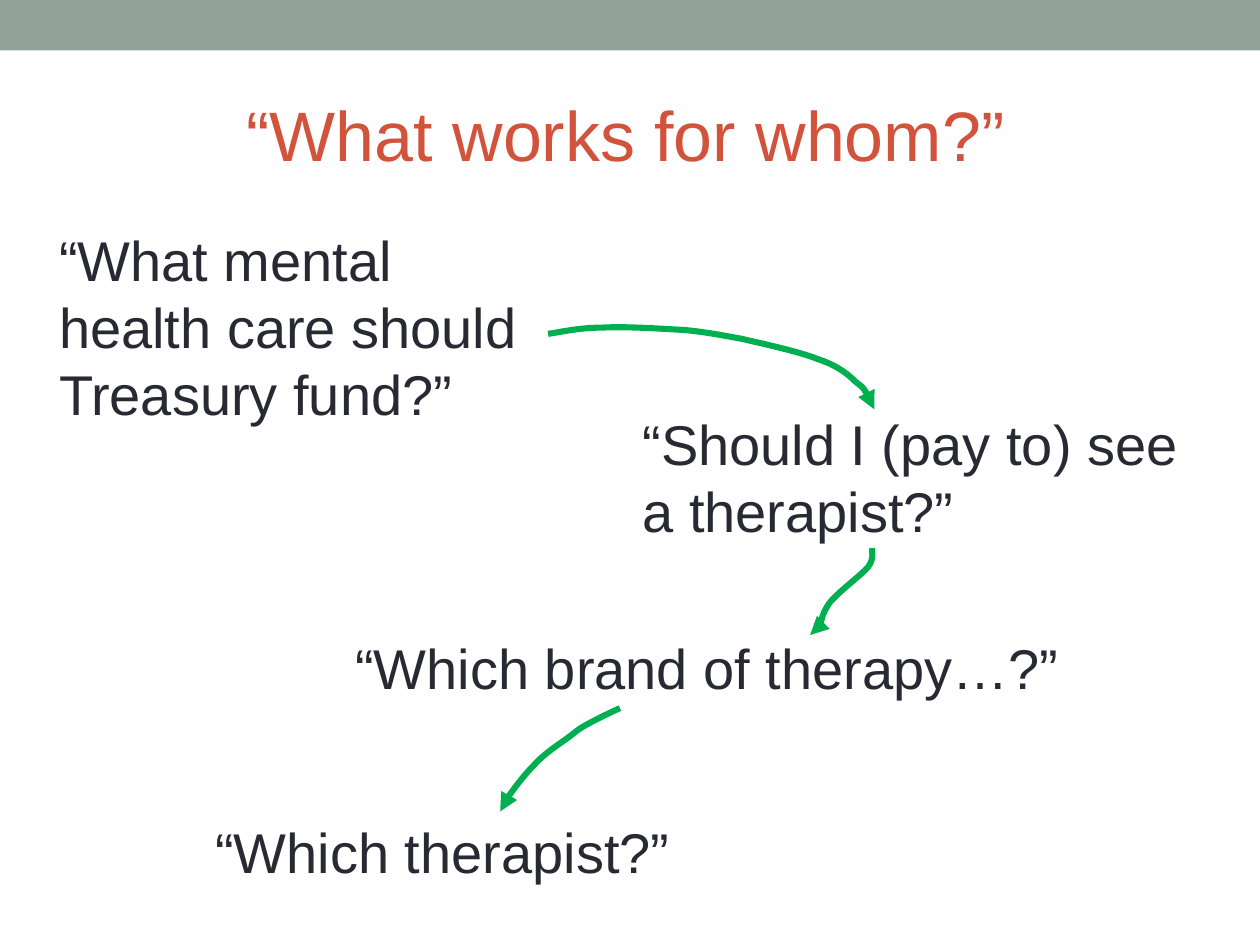
from dataclasses import dataclass

from lxml.etree import SubElement
from pptx import Presentation
from pptx.dml.color import RGBColor
from pptx.enum.shapes import MSO_SHAPE as Preset
from pptx.enum.text import MSO_AUTO_SIZE as AutoSize
from pptx.oxml.ns import qn
from pptx.slide import Slide
from pptx.util import Inches, Pt

Point = tuple[float, float]


@dataclass(frozen=True)
class Theme:
    font: str = "Arial"
    title_size: int = 40
    question_size: int = 32
    arrow_width: float = 3.5
    band: RGBColor = RGBColor(0x93, 0xA2, 0x99)
    title: RGBColor = RGBColor(0xD2, 0x53, 0x3C)
    question: RGBColor = RGBColor(0x29, 0x29, 0x34)
    arrow: RGBColor = RGBColor(0x00, 0xB0, 0x50)


@dataclass(frozen=True)
class Label:
    text: str
    left: float
    top: float
    width: float
    height: float


THEME = Theme()

TITLE = Label("“What works for whom?”", 1.86, 0.68, 6.29, 0.77)
QUESTIONS = [
    Label("“What mental health care should Treasury fund?”", 0.37, 1.74, 3.91, 1.72),
    Label("“Should I (pay to) see a therapist?”", 5, 3.2, 4.65, 1.18),
    Label("“Which brand of therapy…?”", 2.72, 4.98, 6.39, 0.64),
    Label("“Which therapist?”", 1.61, 6.44, 5.86, 0.64),
]

# Each arrow is a start point followed by (control, control, end) triples.
ARROWS: list[list[Point]] = [
    [
        (4.35, 2.65),
        (4.48, 2.63), (4.61, 2.6), (4.79, 2.6),
        (4.97, 2.59), (5.26, 2.61), (5.44, 2.62),
        (5.63, 2.64), (5.72, 2.66), (5.89, 2.69),
        (6.06, 2.73), (6.34, 2.79), (6.49, 2.85),
        (6.64, 2.9), (6.72, 2.96), (6.79, 3.03),
        (6.87, 3.09), (6.91, 3.17), (6.94, 3.25),
    ],
    [
        (6.92, 4.35),
        (6.92, 4.38), (6.94, 4.43), (6.89, 4.5),
        (6.83, 4.57), (6.65, 4.7), (6.58, 4.79),
        (6.52, 4.88), (6.51, 4.99), (6.49, 5.03),
        (6.46, 5.07), (6.44, 5.05), (6.43, 5.04),
    ],
    [
        (4.92, 5.62),
        (4.81, 5.67), (4.71, 5.72), (4.64, 5.76),
        (4.57, 5.8), (4.57, 5.81), (4.5, 5.86),
        (4.43, 5.91), (4.31, 5.99), (4.24, 6.07),
        (4.16, 6.15), (4.07, 6.27), (4.03, 6.33),
        (3.98, 6.4), (3.98, 6.42), (3.97, 6.44),
    ],
]


def add_band(page: Slide, width: int) -> None:
    band = page.shapes.add_shape(Preset.RECTANGLE, 0, 0, width, Inches(0.4))
    band.shadow.inherit = False
    band.fill.solid()
    band.fill.fore_color.rgb = THEME.band
    band.line.fill.background()


def add_label(page: Slide, label: Label, size: int, color: RGBColor, wrap: bool = True) -> None:
    box = page.shapes.add_textbox(
        Inches(label.left), Inches(label.top), Inches(label.width), Inches(label.height)
    )
    box.text_frame.word_wrap = wrap
    box.text_frame.auto_size = AutoSize.SHAPE_TO_FIT_TEXT
    span = box.text_frame.paragraphs[0].add_run()
    span.text = label.text
    span.font.name = THEME.font
    span.font.size = Pt(size)
    span.font.color.rgb = color


def add_curved_arrow(page: Slide, points: list[Point]) -> None:
    """Build the outline from straight segments, then merge each three into a Bézier curve."""
    start, *rest = [(Inches(x), Inches(y)) for x, y in points]
    builder = page.shapes.build_freeform(*start)
    builder.add_line_segments(rest, close=False)
    arrow = builder.convert_to_shape()
    arrow.shadow.inherit = False
    arrow.fill.background()
    arrow.line.color.rgb = THEME.arrow
    arrow.line.width = Pt(THEME.arrow_width)

    segments = list(arrow.element.iter(qn("a:lnTo")))
    outline = segments[0].getparent()
    for first in range(0, len(segments), 3):
        curve = SubElement(outline, qn("a:cubicBezTo"))
        for segment in segments[first:first + 3]:
            curve.append(segment[0])
            outline.remove(segment)

    SubElement(arrow.line._get_or_add_ln(), qn("a:tailEnd"), type="triangle")


def main() -> None:
    deck = Presentation()
    deck.slide_width, deck.slide_height = Inches(10), Inches(7.5)
    page = deck.slides.add_slide(deck.slide_layouts[6])

    add_band(page, deck.slide_width)
    add_label(page, TITLE, THEME.title_size, THEME.title, wrap=False)
    for question in QUESTIONS:
        add_label(page, question, THEME.question_size, THEME.question)
    for points in ARROWS:
        add_curved_arrow(page, points)

    deck.save("out.pptx")


if __name__ == "__main__":
    main()
